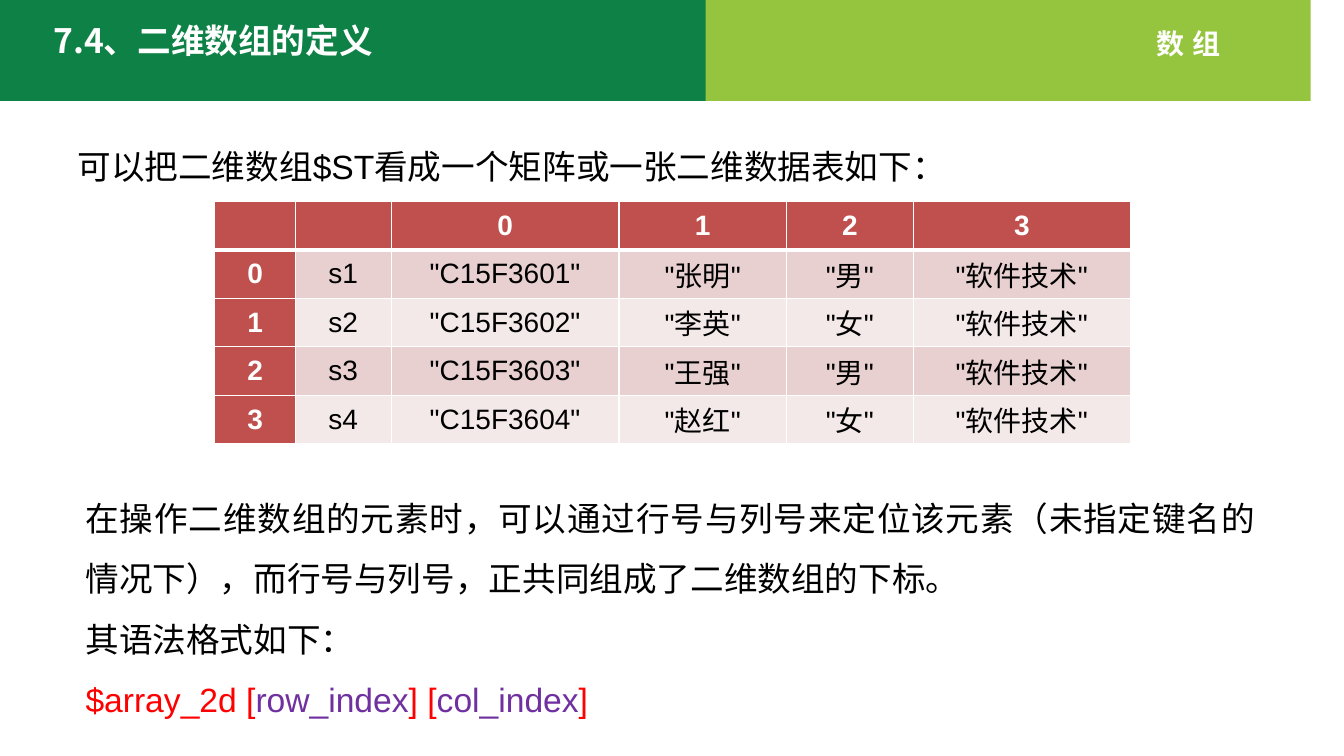
from dataclasses import dataclass
from typing import Any

from lxml.etree import SubElement
from pptx import Presentation
from pptx.dml.color import RGBColor
from pptx.enum.text import MSO_ANCHOR as Anchor, MSO_AUTO_SIZE as AutoSize, PP_ALIGN as Align
from pptx.oxml.ns import qn
from pptx.util import Inches, Pt

COLORS = {
    "dark_green": "0E8146", "light_green": "95C53E", "white": "FFFFFF", "black": "000000",
    "head": "C0504D", "band_dark": "E8D0D0", "band_light": "F4E9E9",
    "red": "FF0000", "purple": "7030A0",
}
LATIN, CJK = "Arial", "Noto Sans CJK SC"
Point = tuple[float, float]


@dataclass
class Run:
    text: str
    color: str = "black"
    size: int = 24
    bold: bool = False
    font: str = LATIN
    spacing: int = 0


@dataclass
class TextBlock:
    box: tuple[float, float, float, float]
    paragraphs: list[list[Run]]
    wrap: bool = True
    align: Any = Align.LEFT
    line_spacing: float = 1.0


@dataclass
class Band:
    color: str
    points: list[Point]


def rgb(name: str) -> RGBColor:
    return RGBColor.from_string(COLORS[name])


def curve(p0: Point, p1: Point, p2: Point, p3: Point, steps: int = 24) -> list[Point]:
    """Points along a cubic curve, without its start."""
    points = []
    for i in range(1, steps + 1):
        t = i / steps
        u = 1 - t
        weights = (u ** 3, 3 * u * u * t, 3 * u * t * t, t ** 3)
        x, y = (sum(w * p[axis] for w, p in zip(weights, (p0, p1, p2, p3))) for axis in (0, 1))
        points.append((x, y))
    return points


def draw_band(shapes: Any, band: Band) -> None:
    start, *rest = band.points
    builder = shapes.build_freeform(*start, scale=Inches(1))
    builder.add_line_segments(rest, close=True)
    s = builder.convert_to_shape()
    s.shadow.inherit = False
    s.fill.solid()
    s.fill.fore_color.rgb = rgb(band.color)
    s.line.fill.background()


def add_run(p: Any, run: Run) -> None:
    r = p.add_run()
    r.text = run.text
    for name, value in {"name": run.font, "size": Pt(run.size), "bold": run.bold}.items():
        setattr(r.font, name, value)
    r.font.color.rgb = rgb(run.color)
    props = r._r.get_or_add_rPr()
    SubElement(props, qn("a:ea"), typeface=CJK)
    if run.spacing:
        props.set("spc", str(run.spacing * 100))


def draw_text(shapes: Any, block: TextBlock) -> None:
    tf = shapes.add_textbox(*map(Inches, block.box)).text_frame
    tf.word_wrap = block.wrap
    tf.auto_size = AutoSize.SHAPE_TO_FIT_TEXT
    for i, runs in enumerate(block.paragraphs):
        p = tf.add_paragraph() if i else tf.paragraphs[0]
        p.alignment = block.align
        p.line_spacing = block.line_spacing
        for run in runs:
            add_run(p, run)


def set_borders(cell: Any, widths: dict[str, int]) -> None:
    props = cell._tc.get_or_add_tcPr()
    for side, width in widths.items():
        line = SubElement(props, qn(f"a:ln{side}"), w=str(Pt(width)))
        fill = SubElement(line, qn("a:solidFill"))
        SubElement(fill, qn("a:srgbClr"), val=COLORS["white"])


def draw_table(shapes: Any, left: float, top: float, widths: list[float],
               row_height: float, rows: list[list[str]]) -> None:
    table = shapes.add_table(len(rows), len(widths), Inches(left), Inches(top),
                             Inches(sum(widths)), Inches(row_height * len(rows))).table
    for column, width in zip(table.columns, widths):
        column.width = Inches(width)
    cell_format = {"vertical_anchor": Anchor.MIDDLE, "margin_left": Inches(0.07),
                   "margin_right": Inches(0.07), "margin_top": 0, "margin_bottom": 0}
    for i, row in enumerate(rows):
        table.rows[i].height = Inches(row_height)
        for j, text in enumerate(row):
            cell = table.cell(i, j)
            for name, value in cell_format.items():
                setattr(cell, name, value)
            set_borders(cell, {"L": 1, "R": 1, "T": 3 if i == 1 else 1, "B": 1 if i else 3})
            is_head = i == 0 or j == 0
            cell.fill.solid()
            cell.fill.fore_color.rgb = rgb(
                "head" if is_head else "band_dark" if i % 2 else "band_light")
            p = cell.text_frame.paragraphs[0]
            p.alignment = Align.CENTER
            if text:
                add_run(p, Run(text, "white" if is_head else "black", 20, is_head))


BANDS = [
    Band("dark_green", [(0, -0.03), (13.33, -0.03), (13.33, 0.24), (8.27, 0.24), (8.09, 0.28),
                        *curve((8.09, 0.28), (7.27, 0.44), (7.7, 0.77), (6.55, 0.77)),
                        (0, 0.77)]),
    Band("light_green", [(8.39, 0.19), (13.33, 0.19), (13.33, 0.77), (6.67, 0.77),
                         *curve((6.67, 0.77), (7.73, 0.6), (7.17, 0.19), (8.39, 0.19))]),
]

TITLES = [
    TextBlock((11.37, 0.21, 0.93, 0.44), [[Run("数组", "white", 20, True, spacing=6)]], wrap=False),
    TextBlock((0.43, 0.15, 3.82, 0.5), [[Run("7.4、二维数组的定义", "white", 24, True, CJK)]]),
]

BODY = [
    TextBlock((0.67, 1.2, 11.95, 0.71),
              [[Run("可以把二维数组$ST看成一个矩阵或一张二维数据表如下：")]],
              align=Align.JUSTIFY, line_spacing=1.5),
    TextBlock((0.75, 4.69, 11.8, 2.52), [
        [Run("在操作二维数组的元素时，可以通过行号与列号来定位该元素（未指定键名的情况下），"
             "而行号与列号，正共同组成了二维数组的下标。")],
        [Run("其语法格式如下：")],
        [Run("$array_2d [", "red"), Run("row_index", "purple"), Run("] [", "red"),
         Run("col_index", "purple"), Run("]", "red")],
    ], align=Align.JUSTIFY, line_spacing=1.5),
]

STUDENTS = [("张明", "男"), ("李英", "女"), ("王强", "男"), ("赵红", "女")]
ROWS = [["", "", "0", "1", "2", "3"]] + [
    [str(i), f"s{i + 1}", f'"C15F360{i + 1}"', f'"{name}"', f'"{gender}"', '"软件技术"']
    for i, (name, gender) in enumerate(STUDENTS)
]


def main() -> None:
    prs = Presentation()
    prs.slide_width, prs.slide_height = Inches(13.33), Inches(7.5)
    shapes = prs.slides.add_slide(prs.slide_layouts[6]).shapes

    # Header bands and titles
    for band in BANDS:
        draw_band(shapes, band)
    for block in TITLES:
        draw_text(shapes, block)

    # Student table and explanations
    draw_table(shapes, 2.13, 2, [0.8, 0.95, 2.26, 1.66, 1.26, 2.15], 0.48, ROWS)
    for block in BODY:
        draw_text(shapes, block)

    prs.save("out.pptx")


if __name__ == "__main__":
    main()
